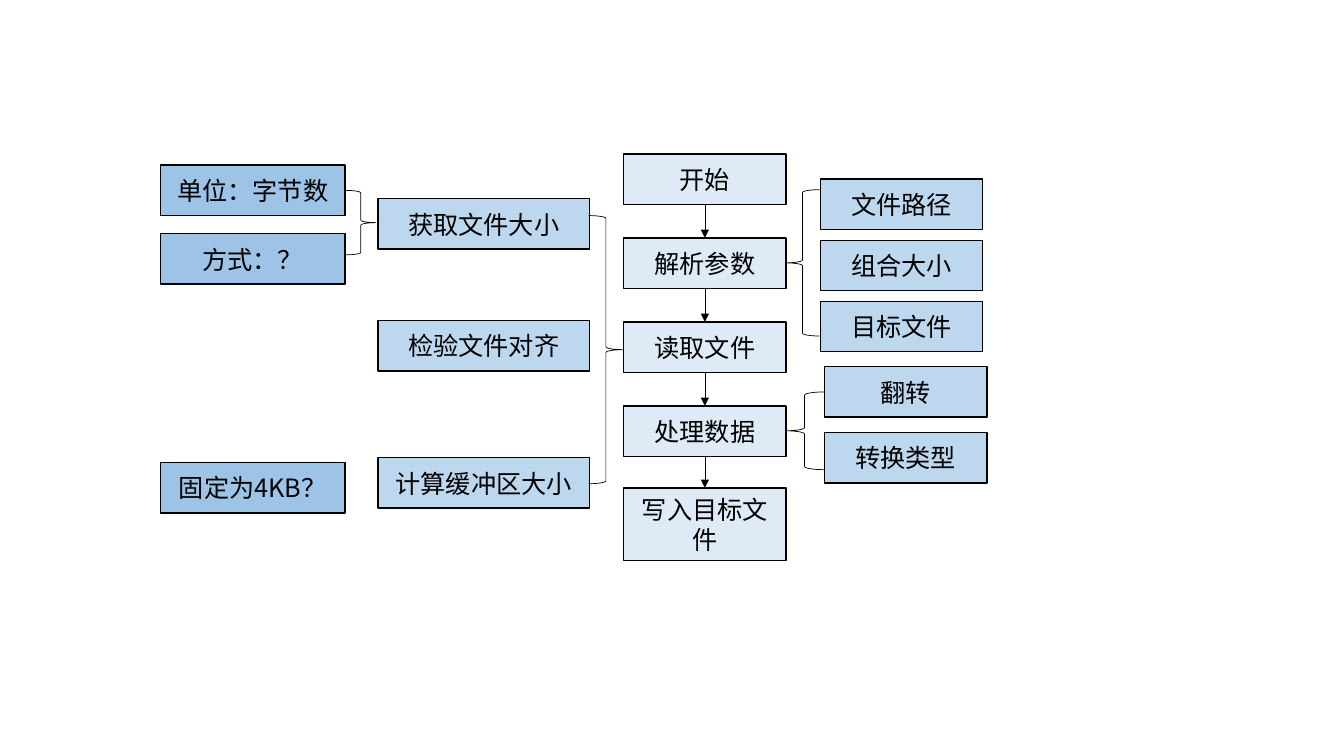
from dataclasses import dataclass

from lxml import etree
from pptx import Presentation
from pptx.dml import color
from pptx.enum import shapes, text
from pptx.oxml import ns
from pptx.util import Pt

FONT = "Noto Sans CJK SC"
BLACK = "000000"
BOX_H = 36


@dataclass
class Column:
    left: float
    width: float
    fill: str


@dataclass
class Box:
    label: str
    column: Column
    top: float
    height: float = BOX_H


@dataclass
class Brace:
    left: float
    top: float
    width: float
    height: float
    rotation: int = 0


STEPS = Column(445.5, 116, "DEEBF7")
ARGUMENTS = Column(586, 116, "BDD7EE")
PROCESSING = Column(589, 116, "BDD7EE")
READING = Column(270, 151, "BDD7EE")
DETAILS = Column(114.5, 132, "9DC3E6")

steps = [Box(label, STEPS, 110 + 60 * i)
         for i, label in enumerate(["开始", "解析参数", "读取文件", "处理数据"])]
steps.append(Box("写入目标文件", STEPS, 348.5, 52))

arguments = [Box(label, ARGUMENTS, 128 + 43.6 * i)
             for i, label in enumerate(["文件路径", "组合大小", "目标文件"])]

branches = [
    Box("翻转", PROCESSING, 262),
    Box("转换类型", PROCESSING, 309),
    Box("获取文件大小", READING, 142),
    Box("检验文件对齐", READING, 229),
    Box("计算缓冲区大小", READING, 327),
    Box("单位：字节数", DETAILS, 118),
    Box("方式：？", DETAILS, 167),
    Box("固定为4KB？", DETAILS, 330.5),
]

braces = [
    Brace(561, 135.5, 24.5, 104.5),
    Brace(561, 280, 27.5, 55.5),
    Brace(420.5, 154, 24.5, 191.5, 180),
    Brace(247, 136, 21.5, 46, 180),
]


def rgb(value: str) -> color.RGBColor:
    return color.RGBColor.from_string(value)


def set_line(line, width: float) -> None:
    line.color.rgb = rgb(BLACK)
    line.width = Pt(width)


def draw_box(s, box: Box) -> None:
    col = box.column
    sp = s.shapes.add_shape(shapes.MSO_SHAPE.RECTANGLE, Pt(col.left), Pt(box.top),
                            Pt(col.width), Pt(box.height))
    sp.shadow.inherit = False
    sp.fill.solid()
    sp.fill.fore_color.rgb = rgb(col.fill)
    set_line(sp.line, 1)
    tf = sp.text_frame
    tf.text = box.label
    tf.word_wrap = True
    tf.vertical_anchor = text.MSO_ANCHOR.MIDDLE
    p = tf.paragraphs[0]
    p.alignment = text.PP_ALIGN.CENTER
    r = p.runs[0]
    r.font.size = Pt(18)
    r.font.name = FONT
    r.font.color.rgb = rgb(BLACK)
    etree.SubElement(r.font._element, ns.qn("a:ea"), typeface=FONT)


def draw_brace(s, brace: Brace) -> None:
    sp = s.shapes.add_shape(shapes.MSO_SHAPE.LEFT_BRACE, Pt(brace.left), Pt(brace.top),
                            Pt(brace.width), Pt(brace.height))
    sp.rotation = brace.rotation
    sp.shadow.inherit = False
    sp.fill.background()
    set_line(sp.line, 0.5)


def draw_arrow(s, start: Box, end: Box) -> None:
    x = Pt(start.column.left + start.column.width / 2)
    cxn = s.shapes.add_connector(shapes.MSO_CONNECTOR.STRAIGHT, x,
                                 Pt(start.top + start.height), x, Pt(end.top))
    set_line(cxn.line, 0.5)
    spPr = cxn._element.spPr
    etree.SubElement(spPr.find(ns.qn("a:ln")), ns.qn("a:tailEnd"), type="triangle")
    etree.SubElement(spPr, ns.qn("a:effectLst"))


prs = Presentation()
prs.slide_width, prs.slide_height = Pt(960), Pt(540)
s = prs.slides.add_slide(prs.slide_layouts[6])

for box in steps + arguments + branches:
    draw_box(s, box)
for brace in braces:
    draw_brace(s, brace)
for start, end in zip(steps, steps[1:]):
    draw_arrow(s, start, end)

prs.save("out.pptx")
